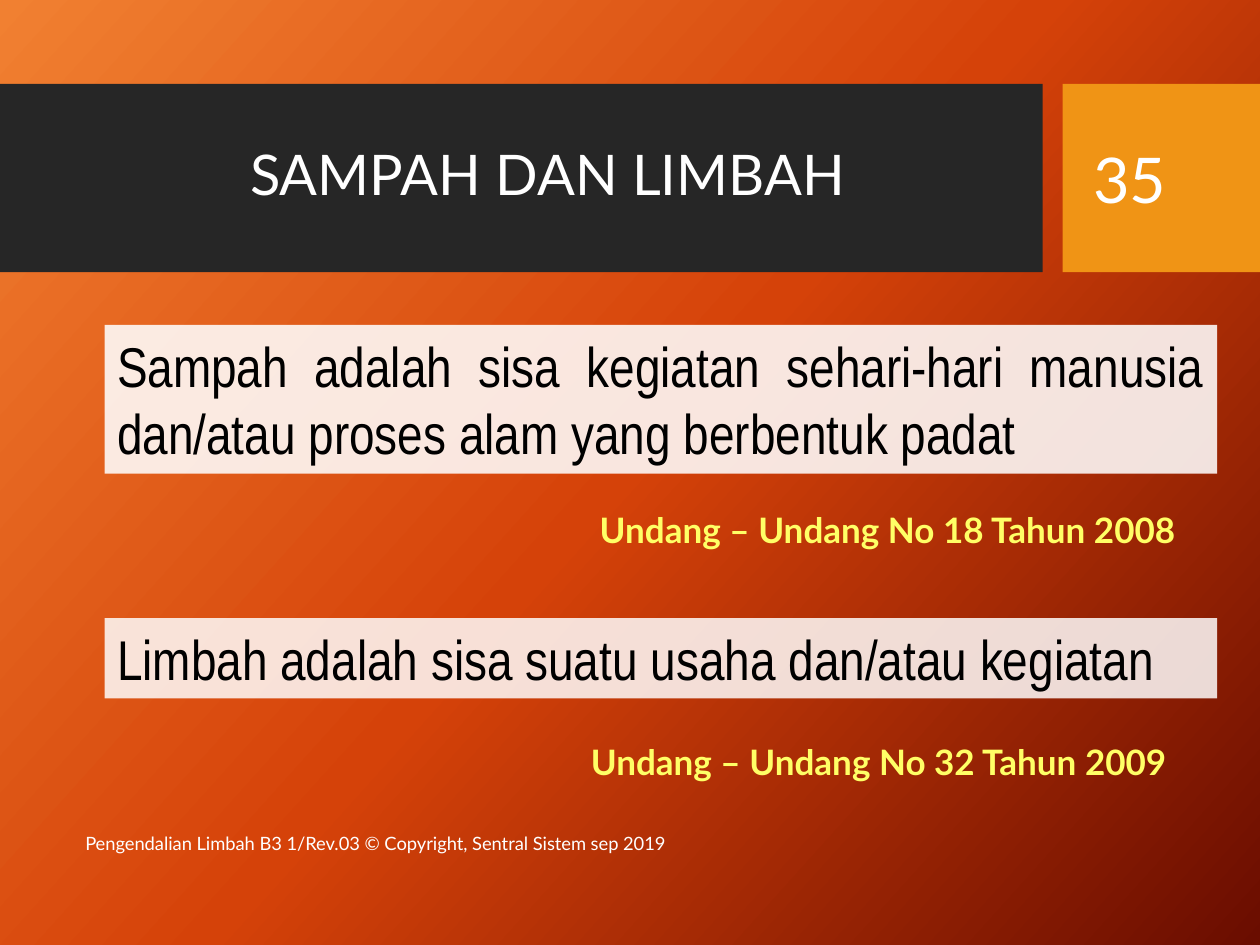
from lxml.etree import SubElement
from pptx import Presentation
from pptx.dml.color import RGBColor
from pptx.enum.shapes import MSO_SHAPE
from pptx.enum.text import MSO_ANCHOR, MSO_AUTO_SIZE, PP_ALIGN
from pptx.oxml.ns import qn
from pptx.util import Cm, Pt

COLORS = {
    "glow": "F18031",
    "ember": "D54209",
    "dark_red": "6A0D00",
    "banner": "262626",
    "number_tile": "F09415",
    "white": "FFFFFF",
    "black": "000000",
    "law": "FFFF66",
}
HEADING_FONT = "Lato"
BODY_FONT = "Arial Narrow"


def set_background(slide, stops, angle):
    """Fill the slide with a linear gradient; angle runs clockwise."""
    fill = slide.background.fill
    fill.gradient()
    fill.gradient_angle = 360 - angle
    stop_list = slide.element.find(".//" + qn("a:gsLst"))
    for old_stop in list(stop_list):
        stop_list.remove(old_stop)
    for position, color in stops:
        stop = SubElement(stop_list, qn("a:gs"), pos=str(position * 1000))
        SubElement(stop, qn("a:srgbClr"), val=COLORS[color])


def add_block(slide, box, color, opacity=100):
    shape = slide.shapes.add_shape(MSO_SHAPE.RECTANGLE, *map(Cm, box))
    shape.shadow.inherit = False
    shape.fill.solid()
    shape.fill.fore_color.rgb = RGBColor.from_string(COLORS[color])
    shape.line.fill.background()
    if opacity < 100:
        color_element = shape.fill._xPr.find(".//" + qn("a:srgbClr"))
        SubElement(color_element, qn("a:alpha"), val=str(opacity * 1000))
    return shape


def write_text(shape, text, size, color="white", font=HEADING_FONT, bold=False,
               align=PP_ALIGN.LEFT, anchor=MSO_ANCHOR.MIDDLE, wrap=True):
    frame = shape.text_frame
    frame.text = text
    frame.word_wrap = wrap
    frame.vertical_anchor = anchor
    paragraph = frame.paragraphs[0]
    paragraph.alignment = align
    for run in paragraph.runs:
        run.font.name = font
        run.font.size = Pt(size)
        run.font.bold = bold
        run.font.color.rgb = RGBColor.from_string(COLORS[color])
    return paragraph


def add_label(slide, box, text, size, **style):
    return write_text(slide.shapes.add_textbox(*map(Cm, box)), text, size, **style)


def add_definition(slide, top, height, opacity, text):
    shape = add_block(slide, (2.11, top, 22.43, height), "white", opacity)
    write_text(shape, text, 32, color="black", font=BODY_FONT,
               align=PP_ALIGN.JUSTIFY, anchor=MSO_ANCHOR.TOP)
    shape.text_frame.auto_size = MSO_AUTO_SIZE.SHAPE_TO_FIT_TEXT


def add_law(slide, left, top, text):
    add_label(slide, (left, top, 13.69, 1.11), text, 20, color="law", bold=True,
              align=PP_ALIGN.CENTER, anchor=MSO_ANCHOR.TOP, wrap=False)


def main():
    presentation = Presentation()
    presentation.slide_width, presentation.slide_height = Cm(25.4), Cm(19.05)
    slide = presentation.slides.add_slide(presentation.slide_layouts[6])
    set_background(slide, [(0, "glow"), (50, "ember"), (100, "dark_red")], 42)

    # Title banner and number tile
    add_block(slide, (0, 1.69, 21.02, 3.8), "banner")
    add_block(slide, (21.42, 1.69, 3.98, 3.8), "number_tile")
    title = add_label(slide, (1.47, 2.08, 19.15, 3), "SAMPAH DAN LIMBAH", 32,
                      align=PP_ALIGN.CENTER)
    title.line_spacing = 0.9
    add_label(slide, (21.79, 2.08, 3.23, 3.02), "35", 36)

    # Definitions, each followed by its law
    add_definition(slide, 6.55, 3, 87, "Sampah adalah sisa kegiatan sehari-hari "
                   "manusia dan/atau proses alam yang berbentuk padat")
    add_law(slide, 11.05, 10.13, "Undang – Undang No 18 Tahun 2008")
    add_definition(slide, 12.46, 1.62, 84,
                   "Limbah adalah sisa suatu usaha dan/atau kegiatan")
    add_law(slide, 10.87, 14.81, "Undang – Undang No 32 Tahun 2009")

    # Footer
    add_label(slide, (1.47, 16.48, 13.44, 1.02),
              "Pengendalian Limbah B3 1/Rev.03 © Copyright, Sentral Sistem sep 2019",
              10.5)
    presentation.save("out.pptx")


if __name__ == "__main__":
    main()
